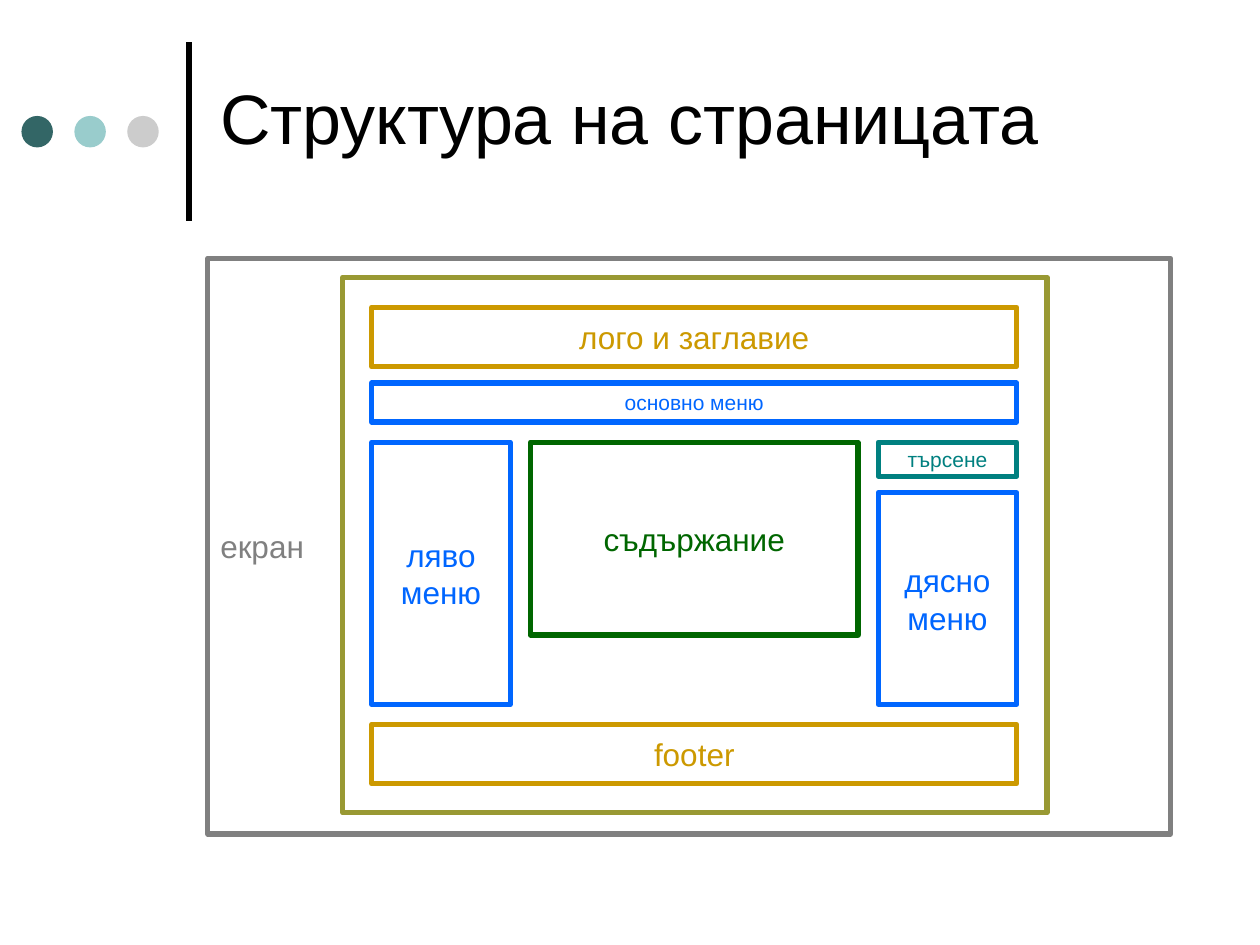
from typing import NamedTuple

from lxml.etree import SubElement
from pptx import Presentation
from pptx.dml.color import RGBColor
from pptx.enum.shapes import MSO_CONNECTOR, MSO_SHAPE
from pptx.enum.text import MSO_ANCHOR, PP_ALIGN
from pptx.oxml.ns import qn
from pptx.shapes.autoshape import Shape
from pptx.slide import Slide
from pptx.util import Inches, Pt

HUES = {
    "black": "000000", "pine": "336666", "aqua": "99CCCC", "silver": "CCCCCC",
    "gray": "808080", "olive": "999933", "gold": "CC9900", "blue": "0066FF",
    "green": "006600", "teal": "008080",
}
FONT = "Arial"
LEFT, WIDE, SIDE = 2.95, 5.12, 1.1
RIGHT = LEFT + WIDE - SIDE
TOP, BASE = 3.51, 5.59


class Panel(NamedTuple):
    """One outlined region of the page plan."""
    left: float
    top: float
    width: float
    height: float
    hue: str
    text: str = ""
    size: int = 18
    align: PP_ALIGN = PP_ALIGN.CENTER


PANELS = [
    Panel(1.65, 2.05, 7.64, 4.57, "gray", "екран", align=PP_ALIGN.LEFT),
    Panel(2.72, 2.2, 5.59, 4.25, "olive"),
    Panel(LEFT, 2.44, WIDE, 0.47, "gold", "лого и заглавие"),
    Panel(LEFT, 5.75, WIDE, 0.47, "gold", "footer"),
    Panel(LEFT, TOP, SIDE, BASE - TOP, "blue", "ляво\vменю"),
    Panel(RIGHT, 3.91, SIDE, BASE - 3.91, "blue", "дясно\vменю"),
    Panel(4.21, TOP, 2.6, 1.53, "green", "съдържание"),
    Panel(RIGHT, TOP, SIDE, 0.27, "teal", "търсене", 12),
    Panel(LEFT, 3.04, WIDE, 0.31, "blue", "основно меню", 12),
]


def color(hue: str) -> RGBColor:
    """Return the named colour."""
    return RGBColor.from_string(HUES[hue])


def write(shape: Shape, text: str, size: int, hue: str, align: PP_ALIGN) -> None:
    """Put one styled paragraph in a shape."""
    frame = shape.text_frame
    frame.word_wrap = True
    frame.vertical_anchor = MSO_ANCHOR.MIDDLE
    frame.text = text
    para = frame.paragraphs[0]
    para.alignment = align
    for run in para.runs:
        run.font.name = FONT
        run.font.size = Pt(size)
        run.font.color.rgb = color(hue)


def draw_panel(slide: Slide, panel: Panel) -> None:
    """Draw an outlined panel with its label."""
    box = slide.shapes.add_shape(
        MSO_SHAPE.RECTANGLE, Inches(panel.left), Inches(panel.top),
        Inches(panel.width), Inches(panel.height))
    box.shadow.inherit = False
    box.fill.background()
    box.line.color.rgb = color(panel.hue)
    box.line.width = Pt(3)
    if panel.text:
        write(box, panel.text, panel.size, panel.hue, panel.align)


def draw_dot(slide: Slide, left: float, hue: str) -> None:
    """Draw a filled dot beside the title."""
    dot = slide.shapes.add_shape(
        MSO_SHAPE.OVAL, Inches(left), Inches(0.92), Inches(0.25), Inches(0.25))
    dot.shadow.inherit = False
    dot.fill.solid()
    dot.fill.fore_color.rgb = color(hue)
    dot.line.fill.background()


def draw_rule(slide: Slide) -> None:
    """Draw the upright rule beside the title."""
    rule = slide.shapes.add_connector(
        MSO_CONNECTOR.STRAIGHT, Inches(1.5), Inches(1.75), Inches(1.5), Inches(0.33))
    rule.line.color.rgb = color("black")
    rule.line.width = Pt(3)
    SubElement(rule._element.spPr, qn("a:effectLst"))


def main() -> None:
    """Build and save the slide."""
    deck = Presentation()
    deck.slide_width, deck.slide_height = Inches(10), Inches(7.5)
    slide = deck.slides.add_slide(deck.slide_layouts[6])
    draw_rule(slide)
    for step, hue in enumerate(("pine", "aqua", "silver")):
        draw_dot(slide, 0.17 + 0.42 * step, hue)
    title = slide.shapes.add_textbox(
        Inches(1.65), Inches(0.3), Inches(7.85), Inches(1.25))
    write(title, "Структура на страницата", 40, "black", PP_ALIGN.LEFT)
    for panel in PANELS:
        draw_panel(slide, panel)
    deck.save("out.pptx")


if __name__ == "__main__":
    main()
